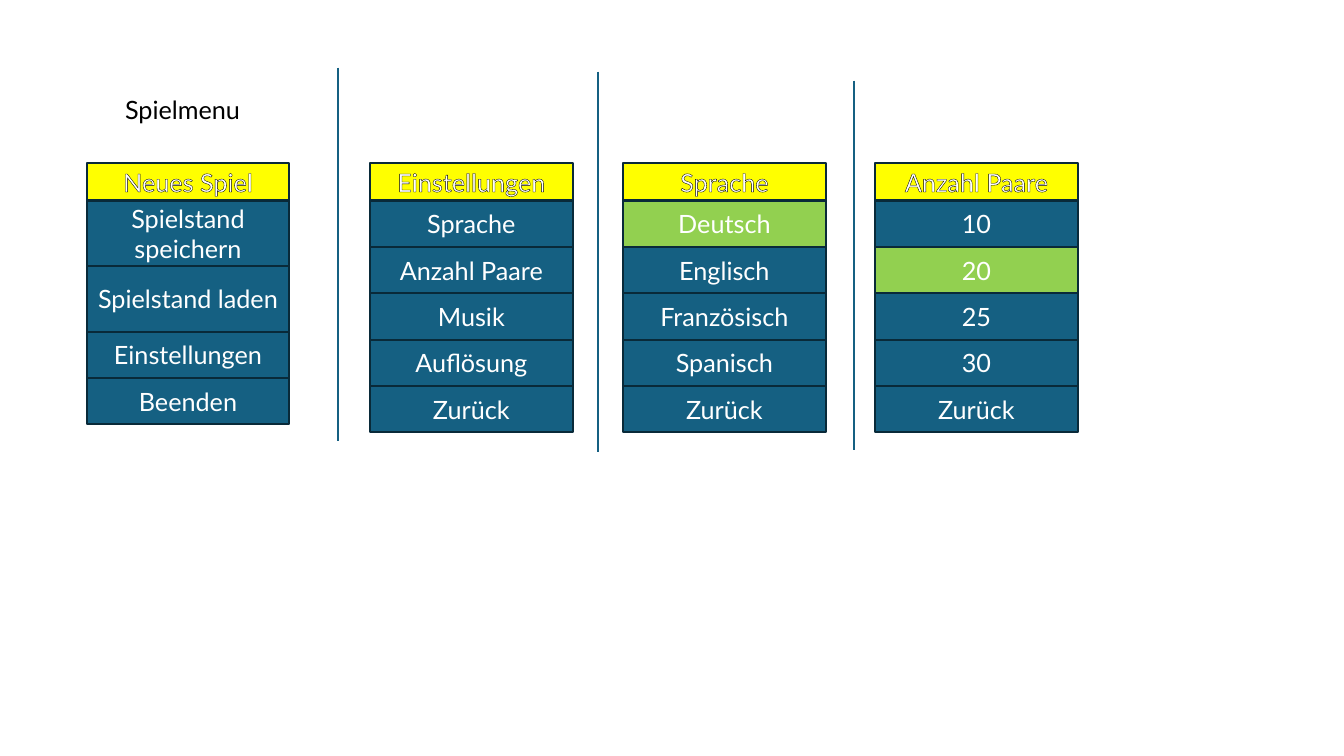
import pptx
import pptx.util
import pptx.dml.color
import pptx.enum.shapes
import pptx.enum.text
import pptx.oxml
import pptx.oxml.ns

Inches = pptx.util.Inches
Pt = pptx.util.Pt
RGBColor = pptx.dml.color.RGBColor
ALIGN = pptx.enum.text.PP_ALIGN
ANCHOR = pptx.enum.text.MSO_ANCHOR

BLUE = RGBColor(0x15, 0x60, 0x82)
NAVY = RGBColor(0x09, 0x2A, 0x39)
YELLOW = RGBColor(0xFF, 0xFF, 0x00)
GREEN = RGBColor(0x92, 0xD0, 0x50)
WHITE = RGBColor(0xFF, 0xFF, 0xFF)
BLACK = RGBColor(0x00, 0x00, 0x00)

FONT = {"name": "Lato", "size": Pt(18), "bold": False}
TOP, WIDTH = 1.62, 2.01
HEAD, ROW, TALL = 0.37, 0.46, 0.65

# left edge, heading, entries, chosen entry
MENUS = [
    (0.86, "Neues Spiel",
     ["Spielstand speichern", "Spielstand laden", "Einstellungen", "Beenden"], None),
    (3.67, "Einstellungen",
     ["Sprache", "Anzahl Paare", "Musik", "Auflösung", "Zurück"], None),
    (6.18, "Sprache",
     ["Deutsch", "Englisch", "Französisch", "Spanisch", "Zurück"], "Deutsch"),
    (8.68, "Anzahl Paare", ["10", "20", "25", "30", "Zurück"], "20"),
]
# x, top, bottom
RULES = [(3.35, 0.67, 4.38), (5.93, 0.71, 4.48), (8.47, 0.8, 4.46)]


def apply(target, values):
    for name, value in values.items():
        setattr(target, name, value)


def write(frame, text, color, align):
    frame.text = text
    para = frame.paragraphs[0]
    para.alignment = align
    run = para.runs[0]
    apply(run.font, FONT)
    run.font.color.rgb = color
    return run


def outline(run):
    """Draw a thin black line around the letters of a run."""
    line = pptx.oxml.parse_xml(
        f'<a:ln {pptx.oxml.ns.nsdecls("a")} w="{Pt(0.75)}"><a:solidFill>'
        f'<a:srgbClr val="{BLACK}"/></a:solidFill></a:ln>')
    run._r.get_or_add_rPr().insert(0, line)


def add_cell(slide, left, top, height, text, fill):
    cell = slide.shapes.add_shape(
        pptx.enum.shapes.MSO_SHAPE.RECTANGLE,
        Inches(left), Inches(top), Inches(WIDTH), Inches(height))
    cell.shadow.inherit = False
    cell.fill.solid()
    cell.fill.fore_color.rgb = fill
    cell.line.color.rgb = NAVY
    cell.line.width = Pt(1.5)
    apply(cell.text_frame, {"word_wrap": True, "vertical_anchor": ANCHOR.MIDDLE})
    return write(cell.text_frame, text, WHITE, ALIGN.CENTER)


def add_menu(slide, left, top, head, items, chosen):
    outline(add_cell(slide, left, top, HEAD, head, YELLOW))
    top += HEAD
    for item in items:
        height = TALL if item.startswith("Spielstand") else ROW
        fill = GREEN if item == chosen else BLUE
        add_cell(slide, left, top, height, item, fill)
        top += height


def add_rule(slide, x, top, bottom):
    rule = slide.shapes.add_connector(
        pptx.enum.shapes.MSO_CONNECTOR.STRAIGHT,
        Inches(x), Inches(top), Inches(x), Inches(bottom))
    rule.line.color.rgb = BLUE
    rule.line.width = Pt(1.5)
    rule._element.spPr.append(pptx.oxml.parse_xml(
        f'<a:effectLst {pptx.oxml.ns.nsdecls("a")}/>'))


def set_title(slide, left, top, width, height):
    title = slide.shapes.title
    apply(title, {"left": Inches(left), "top": Inches(top),
                  "width": Inches(width), "height": Inches(height)})
    apply(title.text_frame, {"word_wrap": False, "vertical_anchor": ANCHOR.TOP,
                             "auto_size": pptx.enum.text.MSO_AUTO_SIZE.NONE})
    write(title.text_frame, "Spielmenu", BLACK, ALIGN.LEFT)


def main():
    deck = pptx.Presentation()
    apply(deck, {"slide_width": Inches(13.33), "slide_height": Inches(7.5)})
    slide = deck.slides.add_slide(deck.slide_layouts.get_by_name("Title Only"))
    set_title(slide, 1.14, 0.89, 1.37, 0.4)
    for left, head, items, chosen in MENUS:
        add_menu(slide, left, TOP, head, items, chosen)
    for x, top, bottom in RULES:
        add_rule(slide, x, top, bottom)
    deck.save("out.pptx")


if __name__ == "__main__":
    main()
